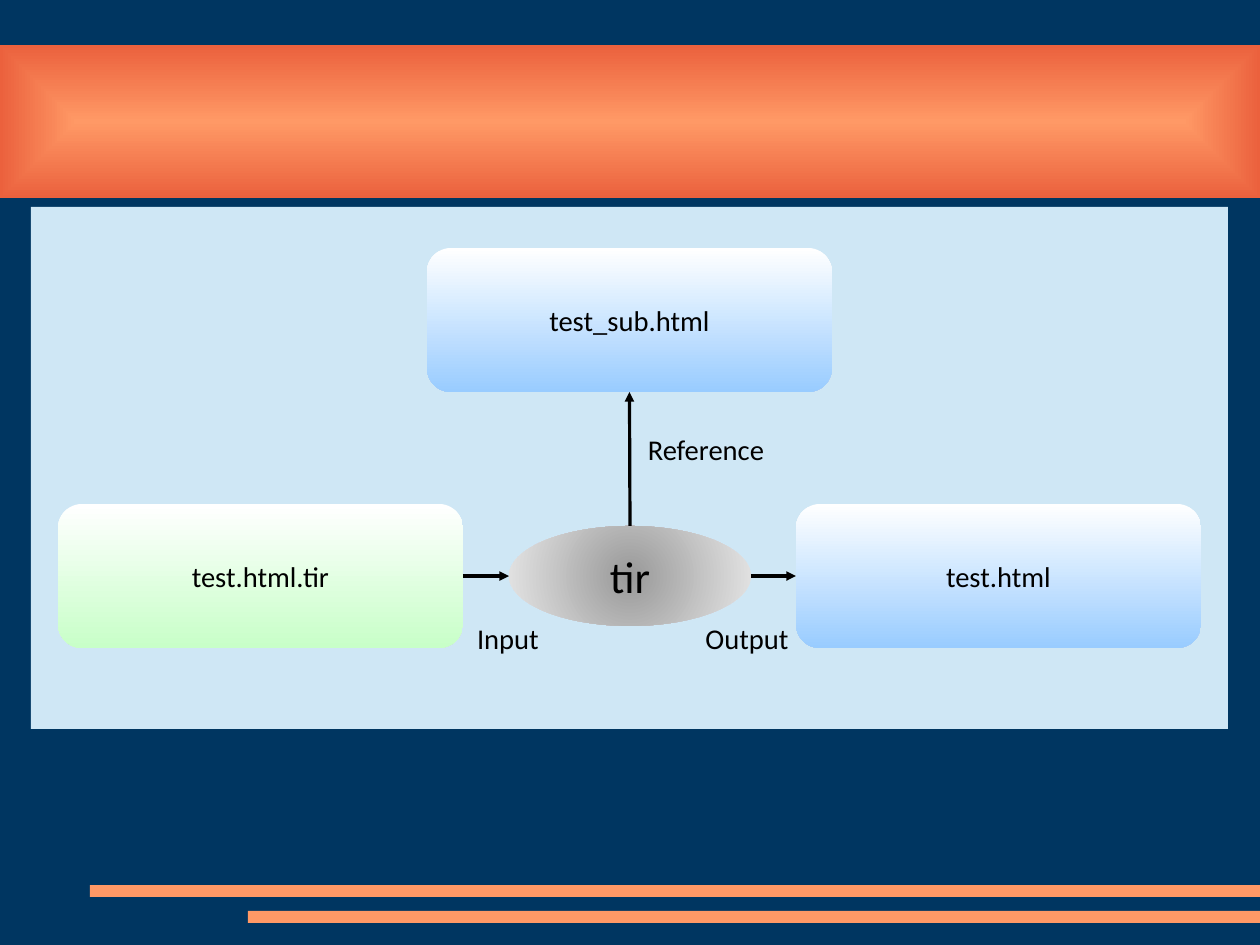
"""Build the tir data flow slide: an input, a reference and an output."""
from lxml.etree import SubElement
from pptx import Presentation
from pptx.dml.color import RGBColor
from pptx.enum.shapes import MSO_CONNECTOR, MSO_SHAPE
from pptx.enum.text import MSO_ANCHOR, PP_ALIGN
from pptx.oxml.ns import qn
from pptx.util import Pt

PX = 8000
SIZE = (1260, 945)
HEX = {
    "navy": "003661", "orange": "FF9966", "rust": "EB613D", "panel": "CFE7F5",
    "white": "FFFFFF", "green": "C8FFC8", "blue": "99CCFF",
    "gray": "999999", "pale": "E6E6E6", "black": "000000",
}
BARS = [(90, 885), (248, 911)]
BAR_H = 12
BANNER = (0, 45, 1260, 153)
PANEL = (31, 207, 1197, 522)
FILES = [
    ("test.html.tir", 0, 504, "green"),
    ("test_sub.html", 1, 248, "blue"),
    ("test.html", 2, 504, "blue"),
]
LEFT, STEP, FILE_W, FILE_H = 58, 369, 405, 144
TOOL = ("tir", 242, 100)
LABELS = [("Reference", 607, 418), ("Input", 409, 607), ("Output", 648, 607)]
LABEL_W, LABEL_H = 198, 63
FONT = "Calibri"


def color(name):
    return RGBColor.from_string(HEX[name])


def scale(*nums):
    return [n * PX for n in nums]


def blend(shape, names, route=None):
    fill = shape.fill
    fill.gradient()
    for stop, name in zip(fill.gradient_stops, names):
        stop.color.rgb = color(name)
    if not route:
        fill.gradient_angle = 270
        return
    grad = shape._element.spPr.find(qn("a:gradFill"))
    grad.remove(grad.find(qn("a:lin")))
    ring = SubElement(grad, qn("a:path"), {"path": route})
    SubElement(ring, qn("a:fillToRect"), {side: "50000" for side in "ltrb"})


def draw(shapes, kind, box, *names, route=None):
    shape = shapes.add_shape(kind, *scale(*box))
    shape.shadow.inherit = False
    shape.line.fill.background()
    if len(names) == 1:
        shape.fill.solid()
        shape.fill.fore_color.rgb = color(names[0])
    else:
        blend(shape, names, route)
    return shape


def write(shape, text, size=18, wrap=False):
    frame = shape.text_frame
    frame.text = text
    frame.word_wrap = wrap
    frame.vertical_anchor = MSO_ANCHOR.MIDDLE
    para = frame.paragraphs[0]
    para.alignment = PP_ALIGN.CENTER
    font = para.runs[0].font
    for key, value in {"name": FONT, "size": Pt(size)}.items():
        setattr(font, key, value)
    font.color.rgb = color("black")


def arrow(shapes, start, end):
    link = shapes.add_connector(MSO_CONNECTOR.STRAIGHT, *scale(*start, *end))
    link.line.color.rgb = color("black")
    link.line.width = Pt(0)
    SubElement(link.line._get_or_add_ln(), qn("a:tailEnd"), {"type": "triangle"})
    SubElement(link._element.spPr, qn("a:effectLst"))
    return link


def main():
    deck = Presentation()
    deck.slide_width, deck.slide_height = scale(*SIZE)
    slide = deck.slides.add_slide(deck.slide_layouts[6])
    back = slide.background.fill
    back.solid()
    back.fore_color.rgb = color("navy")
    shapes = slide.shapes

    rect = MSO_SHAPE.RECTANGLE
    for x, y in BARS:
        draw(shapes, rect, (x, y, SIZE[0] - x, BAR_H), "orange")
    draw(shapes, rect, BANNER, "orange", "rust", route="rect")
    draw(shapes, rect, PANEL, "panel")

    nodes = []
    for text, col, y, tint in FILES:
        box = (LEFT + col * STEP, y, FILE_W, FILE_H)
        node = draw(shapes, MSO_SHAPE.ROUNDED_RECTANGLE, box, "white", tint)
        write(node, text)
        nodes.append(node)
    source, helper, result = nodes

    text, wide, high = TOOL
    mid_x = SIZE[0] // 2
    mid_y = FILES[0][2] + FILE_H // 2
    west, east = mid_x - wide // 2, mid_x + wide // 2
    top = mid_y - high // 2
    tool = draw(shapes, MSO_SHAPE.OVAL, (west, top, wide, high),
                "gray", "pale", route="circle")
    write(tool, text, 28)

    arrow(shapes, (LEFT + FILE_W, mid_y), (west, mid_y)).begin_connect(source, 3)
    arrow(shapes, (east, mid_y), (LEFT + 2 * STEP, mid_y)).end_connect(result, 1)
    rise = arrow(shapes, (mid_x, top), (mid_x, FILES[1][2] + FILE_H))
    rise.begin_connect(tool, 0)
    rise.end_connect(helper, 2)

    for text, x, y in LABELS:
        label = shapes.add_textbox(*scale(x, y, LABEL_W, LABEL_H))
        write(label, text, wrap=True)

    deck.save("out.pptx")


if __name__ == "__main__":
    main()
